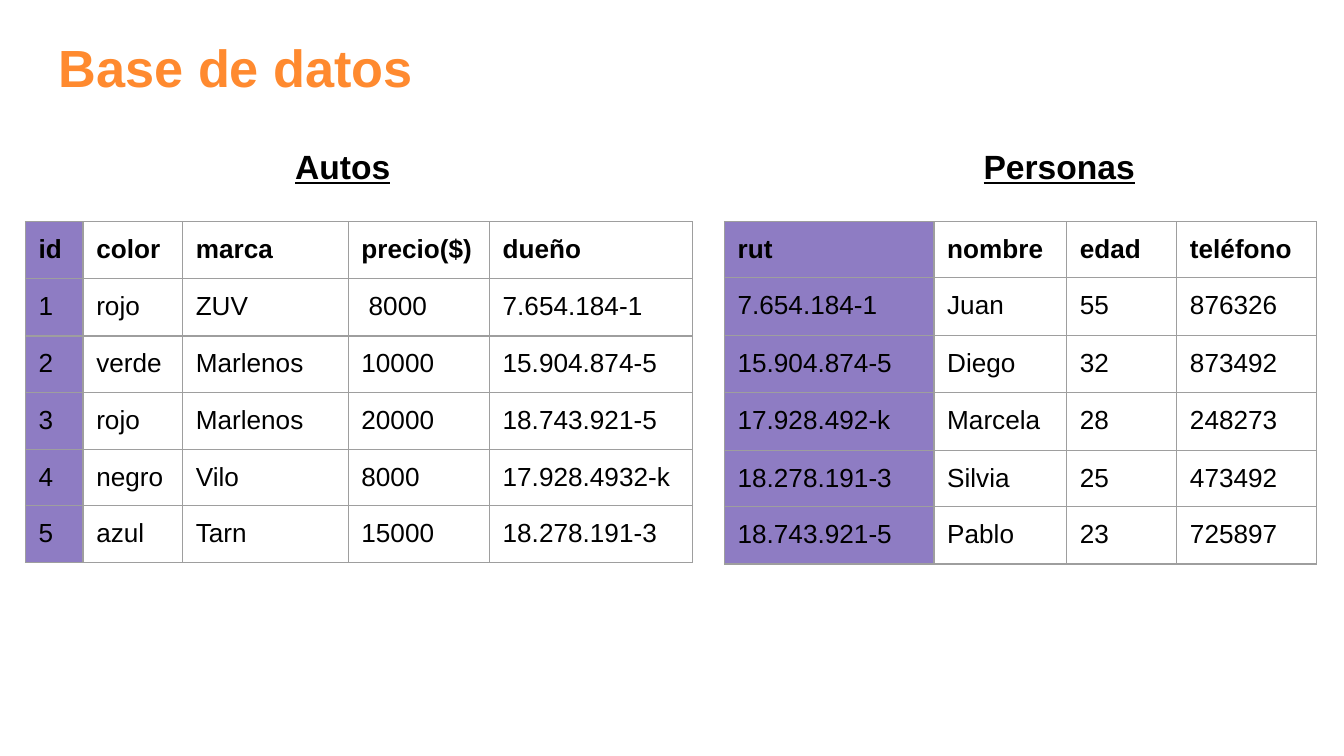
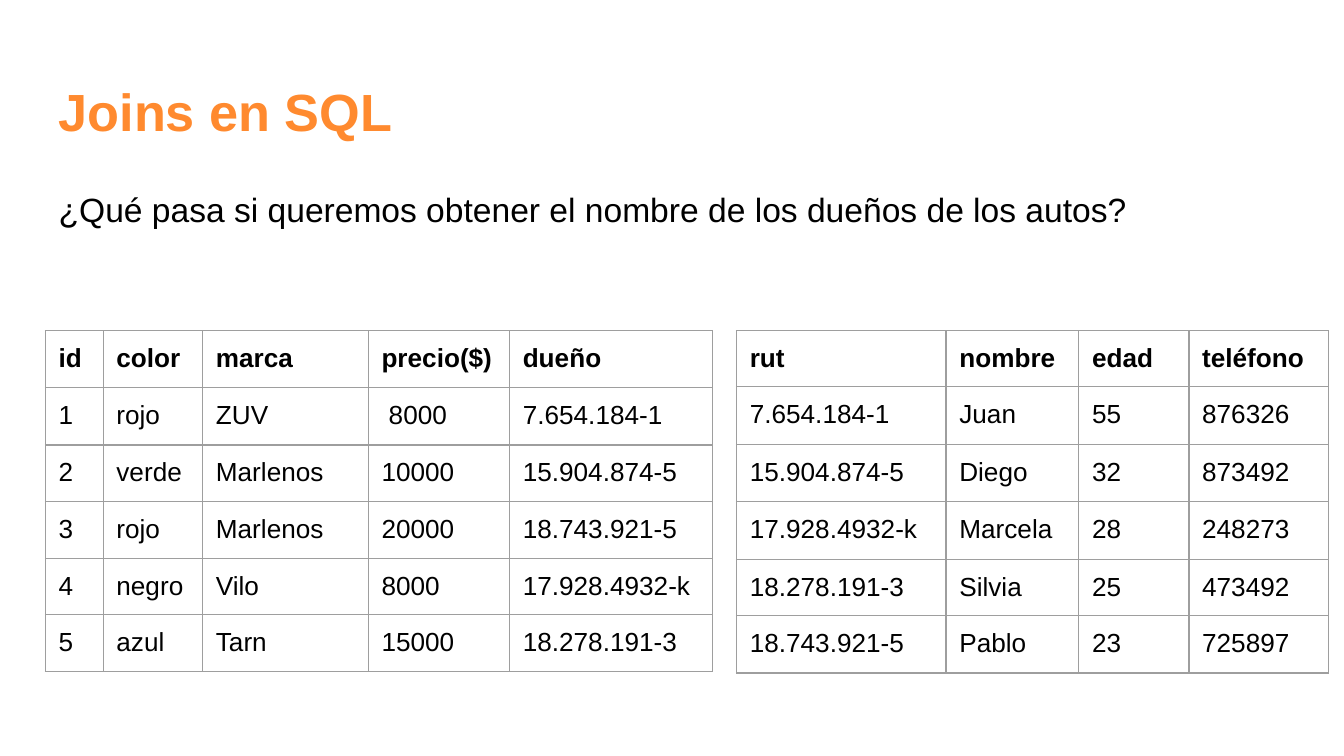
from pptx import Presentation
from pptx.dml.color import RGBColor
from pptx.enum.text import MSO_ANCHOR, MSO_AUTO_SIZE, PP_ALIGN
from pptx.oxml import parse_xml
from pptx.oxml.ns import nsdecls
from pptx.util import Cm, Pt

TOP, LEFT, NO_FIT = MSO_ANCHOR.TOP, PP_ALIGN.LEFT, MSO_AUTO_SIZE.NONE

# Shared style
FONT = "Arial"
ORANGE, BLACK, PURPLE, GREY = "FF8A2F", "000000", "8E7CC3", "9E9E9E"
INSET = Cm(0.25)
BORDER = Pt(0.75)
TITLE_ONLY = 5
MARGIN = 0.86

# Table contents: column widths, row heights (cm) and rows
CARS_COLS = (1.09, 1.88, 3.13, 2.67, 3.83)
CARS_ROWS = (1.07, 1.09, 1.07, 1.07, 1.07, 1.07)
CARS = (
    ("id", "color", "marca", "precio($)", "dueño"),
    ("1", "rojo", "ZUV", " 8000", "7.654.184-1"),
    ("2", "verde", "Marlenos", "10000", "15.904.874-5"),
    ("3", "rojo", "Marlenos", "20000", "18.743.921-5"),
    ("4", "negro", "Vilo", "8000", "17.928.4932-k"),
    ("5", "azul", "Tarn", "15000", "18.278.191-3"),
)
PEOPLE_COLS = (3.96, 2.51, 2.08, 2.64)
PEOPLE_ROWS = (0.97, 1.09, 1.09, 1.09, 0.86, 1.09)


def people(marcela_rut):
    return (
        ("rut", "nombre", "edad", "teléfono"),
        ("7.654.184-1", "Juan", "55", "876326"),
        ("15.904.874-5", "Diego", "32", "873492"),
        (marcela_rut, "Marcela", "28", "248273"),
        ("18.278.191-3", "Silvia", "25", "473492"),
        ("18.743.921-5", "Pablo", "23", "725897"),
    )


def rgb(color):
    return RGBColor.from_string(color)


def add_run(p, text, size, color=BLACK, bold=False, underline=False):
    r = p.add_run()
    r.text = text
    f = r.font
    f.name, f.size, f.bold, f.underline = FONT, Pt(size), bold, underline
    f.color.rgb = rgb(color)


def set_insets(box):
    box.margin_left = box.margin_right = INSET
    box.margin_top = box.margin_bottom = INSET
    box.vertical_anchor = TOP


def place_text(sp, box, text, size, spacing=1.0, after=0, **style):
    sp.left, sp.top, sp.width, sp.height = (Cm(v) for v in box)
    tf = sp.text_frame
    tf.word_wrap = True
    tf.auto_size = NO_FIT
    set_insets(tf)
    p = tf.paragraphs[0]
    p.alignment, p.line_spacing, p.space_after = LEFT, spacing, Pt(after)
    add_run(p, text, size, **style)


def add_title_slide(prs, title, box):
    s = prs.slides.add_slide(prs.slide_layouts[TITLE_ONLY])
    place_text(s.shapes.title, box, title, 28, color=ORANGE, bold=True)
    return s


def add_text(s, box, text, **style):
    sp = s.shapes.add_textbox(*(Cm(v) for v in box))
    place_text(sp, box, text, 18, spacing=1.15, **style)


def set_borders(cell):
    # Borders come before the fill in the cell properties
    props = cell._tc.get_or_add_tcPr()
    for i, side in enumerate(("lnL", "lnR", "lnT", "lnB")):
        props.insert(i, parse_xml(
            f'<a:{side} {nsdecls("a")} w="{BORDER}"><a:solidFill>'
            f'<a:srgbClr val="{GREY}"/></a:solidFill></a:{side}>'))


def add_data_table(s, left, top, cols, heights, rows, key_fill=None):
    frame = s.shapes.add_table(len(rows), len(cols), Cm(left), Cm(top),
                               Cm(sum(cols)), Cm(sum(heights)))
    table = frame.table
    table.first_row = table.horz_banding = False
    for column, width in zip(table.columns, cols):
        column.width = Cm(width)
    for i, (row, height) in enumerate(zip(rows, heights)):
        table.rows[i].height = Cm(height)
        for j, text in enumerate(row):
            cell = table.cell(i, j)
            set_insets(cell)
            add_run(cell.text_frame.paragraphs[0], text, 14, bold=i == 0)
            if key_fill and j == 0:
                cell.fill.solid()
                cell.fill.fore_color.rgb = rgb(key_fill)
            else:
                cell.fill.background()
            set_borders(cell)


def database_slide(prs):
    s = add_title_slide(prs, "Base de datos", (MARGIN, 0.41, 8.08, 1.6))
    # Table headings
    for left, width, name in ((5.33, 2.51, "Autos"), (18.34, 3.91, "Personas")):
        add_text(s, (left, 2.39, width, 1.4), name, bold=True, underline=True)
    # Tables with the key column marked
    top = 4.19
    add_data_table(s, 13.69, top, PEOPLE_COLS, PEOPLE_ROWS,
                   people("17.928.492-k"), PURPLE)
    add_data_table(s, 0.48, top, CARS_COLS, CARS_ROWS, CARS, PURPLE)


def joins_slide(prs):
    width = 23.67
    s = add_title_slide(prs, "Joins en SQL", (MARGIN, 1.24, width, 1.6))
    # Question
    add_text(s, (MARGIN, 3.2, width, 1.32),
             "¿Qué pasa si queremos obtener el nombre de los dueños de los autos?",
             after=16)
    # Tables to join
    top = 6.25
    add_data_table(s, MARGIN, top, CARS_COLS, CARS_ROWS, CARS)
    add_data_table(s, 13.92, top, PEOPLE_COLS, PEOPLE_ROWS,
                   people("17.928.4932-k"))


def main():
    prs = Presentation()
    prs.slide_width, prs.slide_height = Cm(25.4), Cm(14.29)
    database_slide(prs)
    joins_slide(prs)
    prs.save("out.pptx")


if __name__ == "__main__":
    main()
